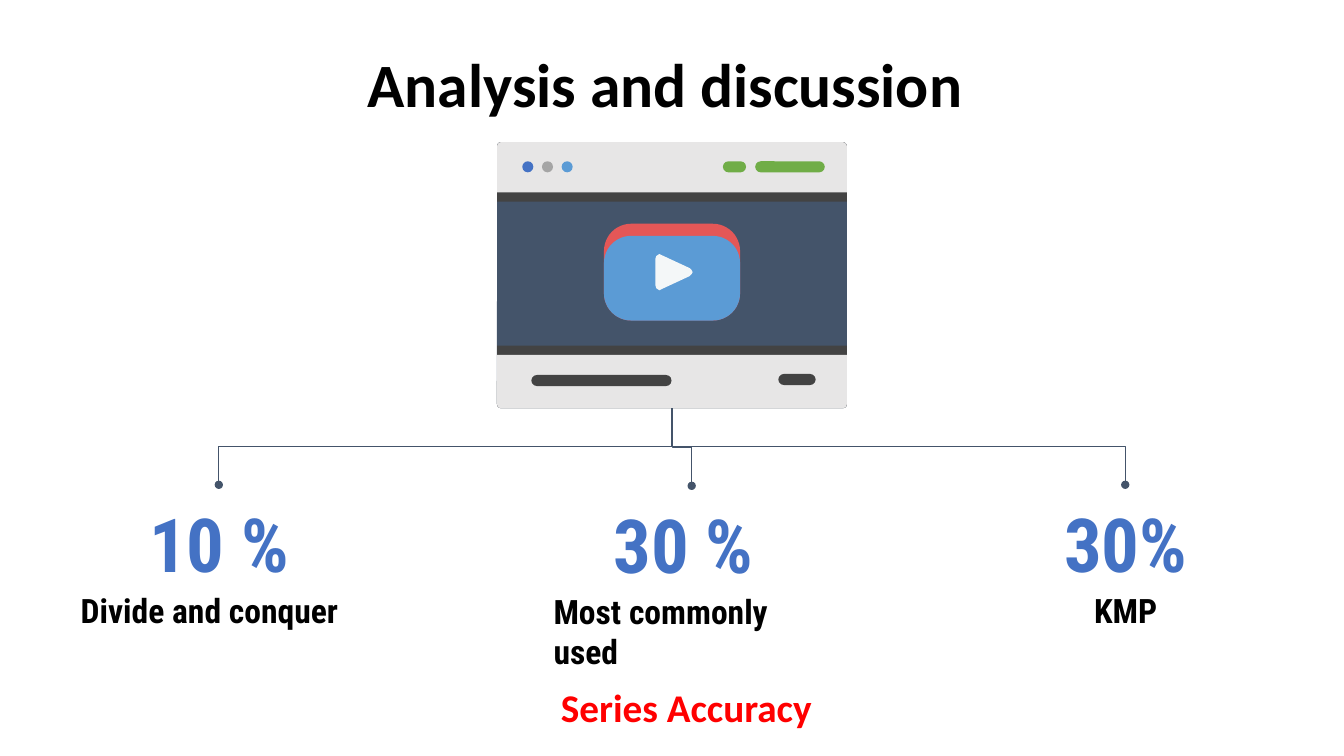
"""Build the slide comparing the accuracy of three string search approaches."""
from lxml.etree import SubElement
from pptx import Presentation
from pptx.dml.color import RGBColor
from pptx.enum.shapes import MSO_CONNECTOR as LINK, MSO_SHAPE as SHAPE
from pptx.enum.text import MSO_ANCHOR as ANCHOR, PP_ALIGN as ALIGN
from pptx.oxml.ns import qn
from pptx.util import Inches, Pt

BLACK = RGBColor(0x00, 0x00, 0x00)
RED = RGBColor(0xFF, 0x00, 0x00)
BLUE = RGBColor(0x44, 0x72, 0xC4)
SKY = RGBColor(0x5B, 0x9B, 0xD5)
SLATE = RGBColor(0x44, 0x54, 0x6A)
CHARCOAL = RGBColor(0x43, 0x43, 0x43)
SILVER = RGBColor(0xE7, 0xE6, 0xE6)
GREY = RGBColor(0xA5, 0xA5, 0xA5)
GREEN = RGBColor(0x70, 0xAD, 0x47)
CORAL = RGBColor(0xE4, 0x57, 0x57)
PALE = RGBColor(0xF4, 0xF7, 0xF8)

TITLE = "Analysis and discussion "
CAPTION = "Series Accuracy "
RESULTS = [
    ("10 %", "Divide and conquer", ALIGN.LEFT, 0.67, 5.72, 2.17),
    ("30 % ", "Most commonly used", ALIGN.LEFT, 5.36, 5.73, 6.86),
    ("30%", "KMP", ALIGN.CENTER, 9.66, 5.72, 11.16),
]
LABEL_WIDTH, VALUE_WIDTH, VALUE_HEIGHT = 3.01, 2.11, 0.91
INSET = 0.13

LEFT, TOP, WIDTH, HEIGHT = 4.93, 1.41, 3.47, 2.64
BOTTOM = TOP + HEIGHT
STEM = LEFT + WIDTH / 2
CORNER, BUTTON_CORNER = 0.04, 0.27
TOP_BANDS = [(0.59, CHARCOAL), (0.5, SILVER)]
BOTTOM_BANDS = [(0.62, CHARCOAL), (0.53, SILVER)]
DOTS = [BLUE, GREY, SKY]
DOT_LEFT, DOT_STEP, DOT_TOP, DOT_SIZE = 5.18, 0.195, 1.6, 0.11
PILLS = [
    (7.17, 1.6, 0.23, GREEN),
    (7.49, 1.6, 0.69, GREEN),
    (5.27, 3.72, 1.39, CHARCOAL),
    (7.72, 3.71, 0.37, CHARCOAL),
]
BUTTON_LAYERS = [(2.22, CORAL), (2.34, SKY)]
BUTTON_LEFT, BUTTON_WIDTH, BUTTON_BOTTOM = 5.99, 1.35, 3.18
PLAY = [
    (6.54, 2.52), (6.51, 2.54), (6.5, 2.57), (6.5, 2.83), (6.51, 2.86),
    (6.54, 2.88), (6.56, 2.87), (6.84, 2.74), (6.86, 2.72), (6.87, 2.7),
    (6.86, 2.68), (6.84, 2.66), (6.56, 2.53),
]


def add_text(page, text, frame, font, size, color, align=ALIGN.CENTER, inset=INSET):
    box = page.shapes.add_textbox(*map(Inches, frame))
    body = box.text_frame
    body.word_wrap = True
    if inset is not None:
        body.margin_left = body.margin_right = Inches(inset)
        body.margin_top = body.margin_bottom = Inches(inset)
    body.text = text
    para = body.paragraphs[0]
    para.alignment = align
    span = para.runs[0].font
    span.name, span.size, span.bold = font, Pt(size), True
    span.color.rgb = color
    return body


def paint(shape, color):
    shape.shadow.inherit = False
    shape.fill.solid()
    shape.fill.fore_color.rgb = color
    shape.line.fill.background()


def add_block(page, kind, frame, color, *radii):
    shape = page.shapes.add_shape(kind, *map(Inches, frame))
    for index, radius in enumerate(radii):
        shape.adjustments[index] = radius / min(frame[2:])
    paint(shape, color)


def add_branch(page, x, y):
    drop, reach = y - BOTTOM, abs(x - STEM)
    middle_x, middle_y = (STEM + x) / 2, (BOTTOM + y) / 2
    side = 1 if x > STEM else -1
    ends = (middle_x + side * drop / 2, middle_y - reach / 2,
            middle_x - side * drop / 2, middle_y + reach / 2)
    branch = page.shapes.add_connector(LINK.ELBOW, *map(Inches, ends))
    branch.line.color.rgb = SLATE
    branch.line.width = Pt(0.75)
    properties = branch._element.spPr
    turn = 270 if side > 0 else 90
    properties.find(qn("a:xfrm")).set("rot", str(turn * 60000))
    SubElement(properties.find(qn("a:ln")), qn("a:tailEnd"), type="oval")
    SubElement(properties, qn("a:effectLst"))


def draw_window(page):
    add_block(page, SHAPE.ROUNDED_RECTANGLE, (LEFT, TOP, WIDTH, HEIGHT), SLATE, CORNER)
    for height, color in BOTTOM_BANDS:
        frame = (LEFT, BOTTOM - height, WIDTH, height)
        add_block(page, SHAPE.ROUND_2_SAME_RECTANGLE, frame, color, 0, CORNER)
    for height, color in TOP_BANDS:
        frame = (LEFT, TOP, WIDTH, height)
        add_block(page, SHAPE.ROUND_2_SAME_RECTANGLE, frame, color, CORNER, 0)
    for index, color in enumerate(DOTS):
        frame = (DOT_LEFT + index * DOT_STEP, DOT_TOP, DOT_SIZE, DOT_SIZE)
        add_block(page, SHAPE.OVAL, frame, color)
    for left, top, width, color in PILLS:
        frame = (left, top, width, DOT_SIZE)
        add_block(page, SHAPE.ROUNDED_RECTANGLE, frame, color, DOT_SIZE / 2)
    for top, color in BUTTON_LAYERS:
        frame = (BUTTON_LEFT, top, BUTTON_WIDTH, BUTTON_BOTTOM - top)
        add_block(page, SHAPE.ROUNDED_RECTANGLE, frame, color, BUTTON_CORNER)
    points = [(Inches(x), Inches(y)) for x, y in PLAY]
    outline = page.shapes.build_freeform(*points[0])
    outline.add_line_segments(points[1:])
    paint(outline.convert_to_shape(), PALE)


def main():
    deck = Presentation()
    deck.slide_width, deck.slide_height = Inches(13.33), Inches(7.5)
    page = deck.slides.add_slide(deck.slide_layouts[6])
    title = add_text(page, TITLE, (0.67, 0.6, 12, 0.54), "Calibri", 44, BLACK)
    title.vertical_anchor = ANCHOR.MIDDLE
    title.paragraphs[0].line_spacing = 0.9
    draw_window(page)
    for value, label, align, left, top, center in RESULTS:
        value_top = top - VALUE_HEIGHT
        value_left = left + (LABEL_WIDTH - VALUE_WIDTH) / 2
        add_text(page, label, (left, top, LABEL_WIDTH, 0.48),
                 "Roboto Condensed", 24, BLACK, align)
        add_text(page, value, (value_left, value_top, VALUE_WIDTH, VALUE_HEIGHT),
                 "Roboto Condensed", 53.3, BLUE)
        add_branch(page, center, value_top)
    add_text(page, CAPTION, (4.39, 6.73, 4.92, 0.57), "Calibri", 28, RED, inset=None)
    deck.save("out.pptx")


if __name__ == "__main__":
    main()
